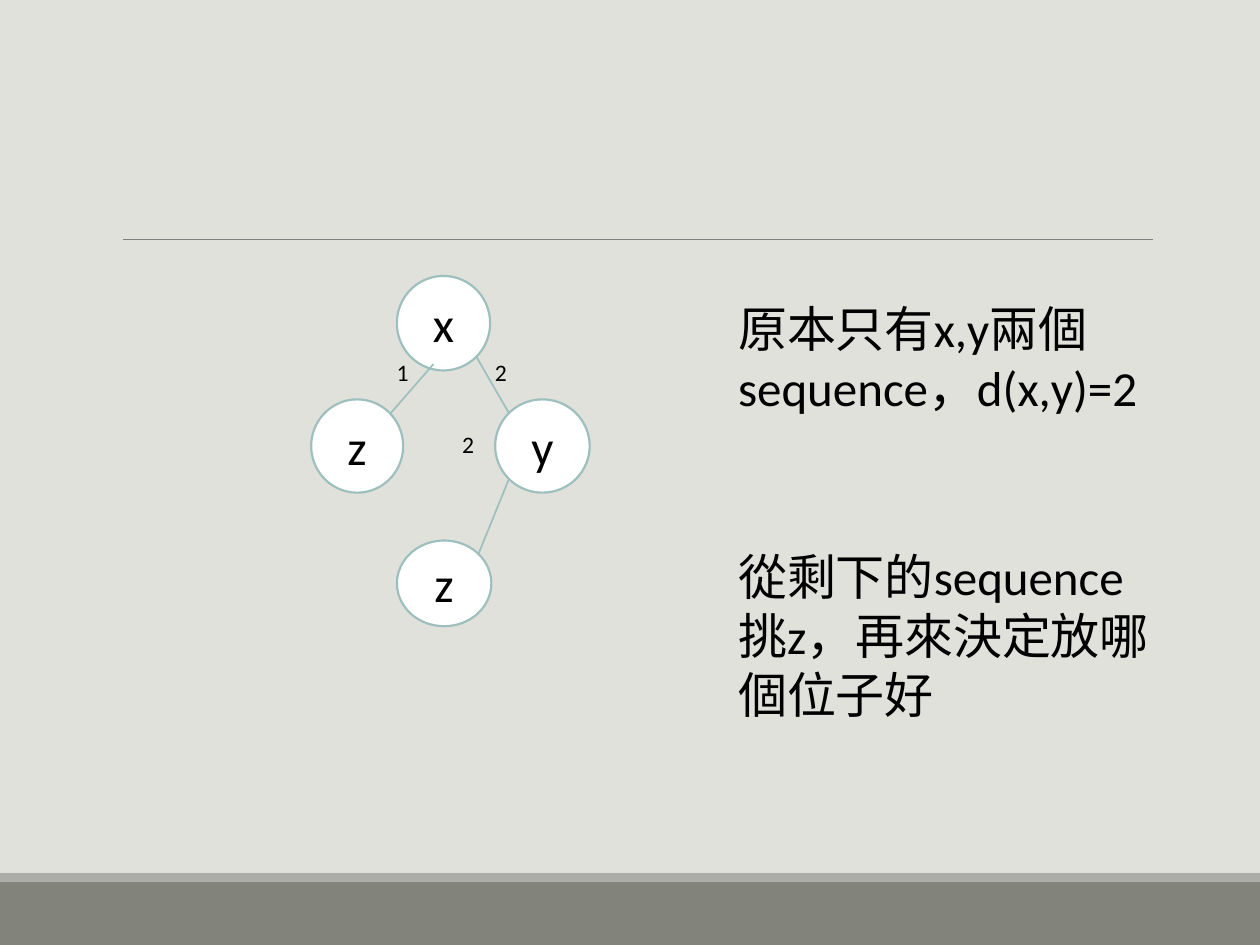
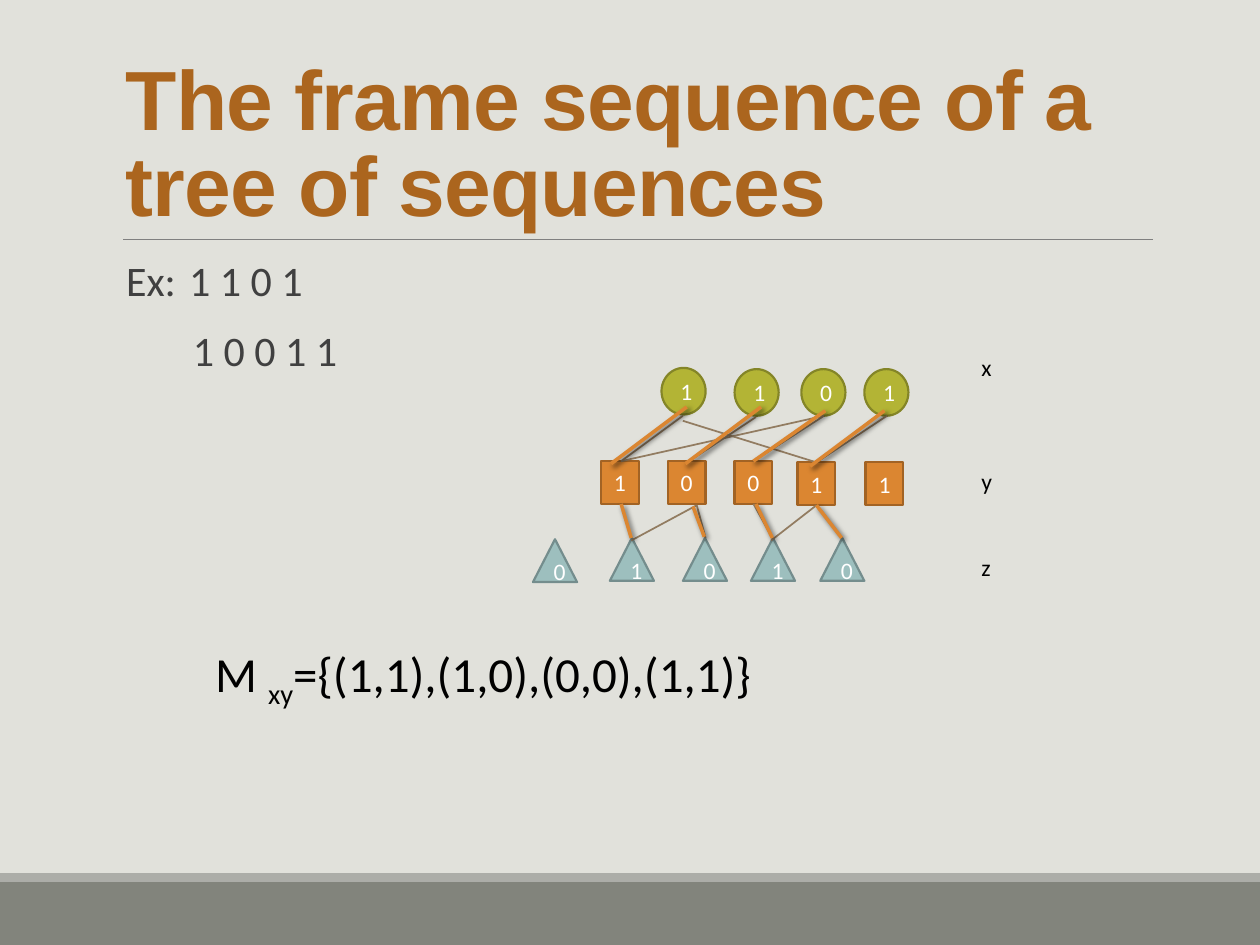
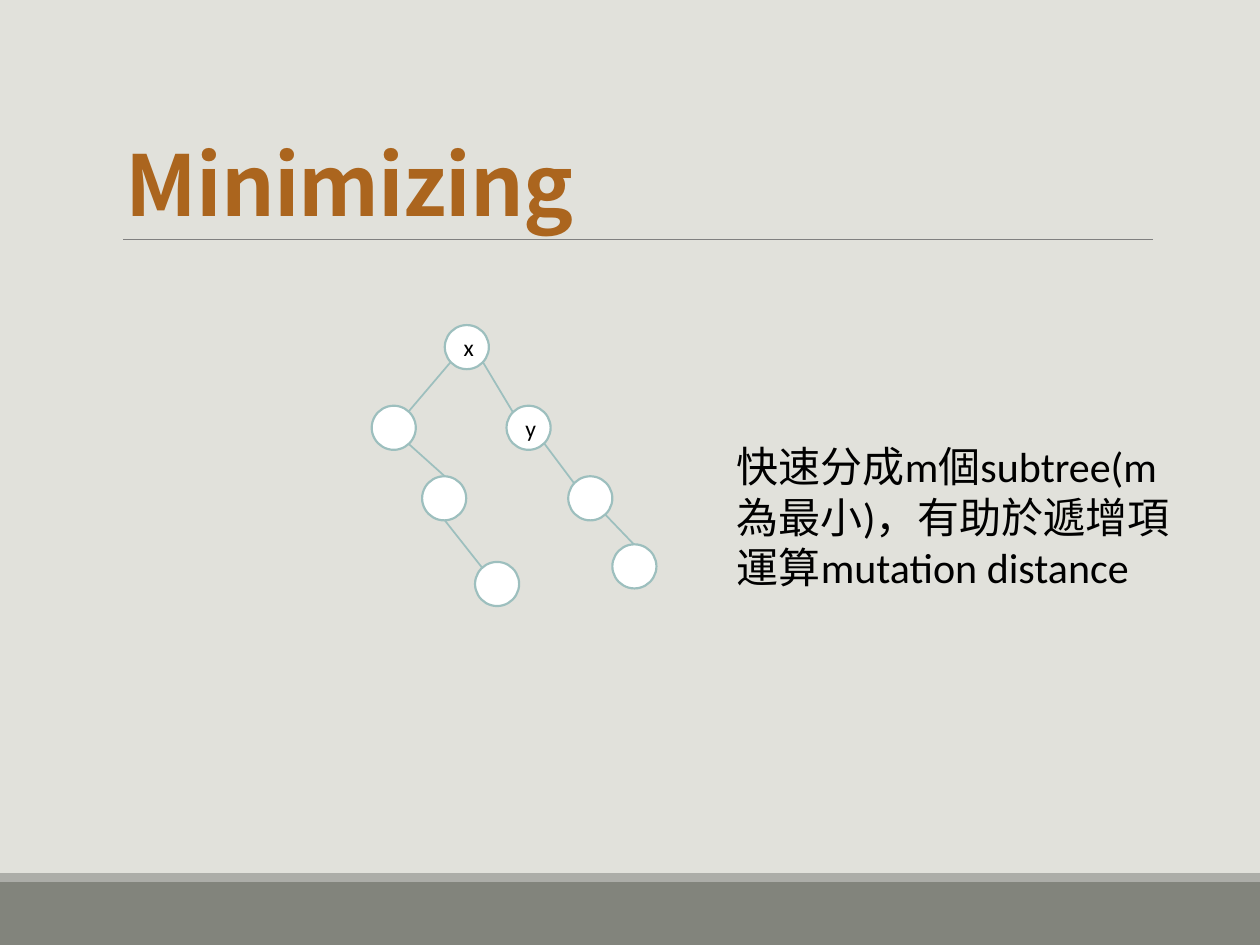
from dataclasses import dataclass

from lxml import etree
from pptx import Presentation
from pptx.dml.color import RGBColor
from pptx.enum.shapes import MSO_CONNECTOR, MSO_SHAPE
from pptx.enum.text import MSO_ANCHOR, PP_ALIGN
from pptx.oxml.ns import qn
from pptx.util import Pt

# Scale: 100 px to the inch
PX = 9144

# Enum members
RECT, OVAL = MSO_SHAPE.RECTANGLE, MSO_SHAPE.OVAL
DISC = MSO_SHAPE.FLOWCHART_CONNECTOR
SQUARE = MSO_SHAPE.FLOWCHART_PROCESS
TRIANGLE = MSO_SHAPE.FLOWCHART_EXTRACT
STRAIGHT = MSO_CONNECTOR.STRAIGHT
TOP, MIDDLE, BOTTOM = MSO_ANCHOR.TOP, MSO_ANCHOR.MIDDLE, MSO_ANCHOR.BOTTOM
LEFT, CENTER = PP_ALIGN.LEFT, PP_ALIGN.CENTER

# Colours
PAPER = RGBColor(0xE1, 0xE1, 0xDB)
BAND = RGBColor(0x82, 0x84, 0x7C)
BAND_EDGE = RGBColor(0xAC, 0xAD, 0xA8)
RULE = RGBColor(0x80, 0x80, 0x80)
BROWN = RGBColor(0xAB, 0x65, 0x1E)
GREY = RGBColor(0x40, 0x40, 0x40)
BLACK = RGBColor(0, 0, 0)
WHITE = RGBColor(0xFF, 0xFF, 0xFF)
TEAL = RGBColor(0x9D, 0xBF, 0xBE)
TEAL_DARK = RGBColor(0x74, 0x8D, 0x8D)
ORANGE = RGBColor(0xDB, 0x86, 0x31)
ORANGE_DARK = RGBColor(0xA2, 0x63, 0x24)
OLIVE = RGBColor(0xB3, 0xB4, 0x35)
OLIVE_DARK = RGBColor(0x84, 0x85, 0x27)
TAN = RGBColor(0x92, 0x7C, 0x61)

BODY_FONT = "Calibri"
SMALL, MEDIUM, LARGE = 13.5, 24, 28


@dataclass(frozen=True)
class Box:
    x: int
    y: int
    w: int
    h: int

    def emu(self) -> tuple[int, ...]:
        return tuple(v * PX for v in (self.x, self.y, self.w, self.h))


@dataclass(frozen=True)
class Line:
    x1: int
    y1: int
    x2: int
    y2: int


@dataclass(frozen=True)
class Node:
    text: str
    box: Box


@dataclass(frozen=True)
class Row:
    """One sequence drawn as equal shapes."""
    kind: int
    fill: RGBColor
    edge: RGBColor
    w: int
    h: int
    digits: str
    places: tuple[tuple[int, int], ...]


def add_run(p, text: str, *, size: float, color: RGBColor = BLACK,
            font: str = BODY_FONT, bold: bool = False, spacing: int = 0,
            baseline: int = 0) -> None:
    r = p.add_run()
    r.text = text
    r.font.size, r.font.name, r.font.bold = Pt(size), font, bold
    r.font.color.rgb = color
    if spacing:
        r.font._element.set("spc", str(spacing))
    if baseline:
        r.font._element.set("baseline", str(baseline))


def add_text(s, box: Box, text: str = "", *, anchor=TOP,
             line_spacing: float | None = None, **run_format):
    sp = s.shapes.add_textbox(*box.emu())
    tf = sp.text_frame
    tf.word_wrap, tf.vertical_anchor = True, anchor
    p = tf.paragraphs[0]
    p.alignment, p.line_spacing = LEFT, line_spacing
    if text:
        add_run(p, text, **run_format)
    return tf


def add_shape(s, kind: int, box: Box, fill: RGBColor,
              edge: RGBColor | None = None, text: str = "",
              **run_format) -> None:
    sp = s.shapes.add_shape(kind, *box.emu())
    sp.shadow.inherit = False
    sp.fill.solid()
    sp.fill.fore_color.rgb = fill
    if edge is None:
        sp.line.fill.background()
    else:
        sp.line.color.rgb, sp.line.width = edge, Pt(1.25)
    if text:
        tf = sp.text_frame
        tf.word_wrap, tf.vertical_anchor = True, MIDDLE
        p = tf.paragraphs[0]
        p.alignment = CENTER
        add_run(p, text, **run_format)


def add_line(s, line: Line, color: RGBColor, width: float = 1,
             shadow: bool = False) -> None:
    ends = (v * PX for v in (line.x1, line.y1, line.x2, line.y2))
    cxn = s.shapes.add_connector(STRAIGHT, *ends)
    cxn.line.color.rgb, cxn.line.width = color, Pt(width)
    effects = etree.SubElement(cxn._element.spPr, qn("a:effectLst"))
    if shadow:
        outer = etree.SubElement(effects, qn("a:outerShdw"), blurRad=str(Pt(3)),
                                 dist=str(Pt(2)), dir="2700000", rotWithShape="0")
        black = etree.SubElement(outer, qn("a:srgbClr"), val="000000")
        etree.SubElement(black, qn("a:alpha"), val="60000")


def add_tree(s, nodes: tuple[Node, ...], edges: tuple[Line, ...],
             size: float) -> None:
    for node in nodes:
        add_shape(s, OVAL, node.box, WHITE, TEAL, node.text, size=size)
    for edge in edges:
        add_line(s, edge, TEAL)


def add_slide(prs, title: str = "", title_font: str = "Arial"):
    """Blank slide with the footer bands, the rule and an optional title."""
    s = prs.slides.add_slide(prs.slide_layouts[6])
    add_shape(s, RECT, Box(0, 700, 1000, 50), BAND)
    add_shape(s, RECT, Box(0, 693, 1000, 7), BAND_EDGE)
    add_line(s, Line(98, 190, 915, 190), RULE, 0.5)
    if title:
        add_text(s, Box(90, 31, 825, 159), title, anchor=BOTTOM,
                 line_spacing=0.85, size=48, font=title_font, color=BROWN,
                 bold=True, spacing=-50)
    return s


# Slide 1: where to attach z
PLACING_NODES = (
    Node("x", Box(315, 219, 74, 75)),
    Node("z", Box(247, 317, 73, 74)),
    Node("y", Box(393, 317, 75, 74)),
    Node("z", Box(315, 429, 75, 68)),
)
PLACING_EDGES = (
    Line(378, 283, 404, 328),
    Line(344, 289, 310, 328),
    Line(404, 380, 380, 439),
)
DISTANCES = (
    Node("2", Box(383, 279, 41, 33)),
    Node("2", Box(357, 336, 26, 33)),
    Node("1", Box(305, 279, 41, 33)),
)
PLACING_NOTES = (
    Node("原本只有x,y兩個sequence，d(x,y)=2", Box(576, 232, 357, 104)),
    Node("從剩下的sequence挑z，再來決定放哪個位子好", Box(576, 429, 357, 151)),
)


def placing_slide(prs) -> None:
    s = add_slide(prs)
    add_tree(s, PLACING_NODES, PLACING_EDGES, LARGE)
    for label in DISTANCES:
        add_text(s, label.box, label.text, size=SMALL)
    for note in PLACING_NOTES:
        add_text(s, note.box, note.text, size=LARGE)


# Slide 2: matching the sequences x, y and z
ROWS = (
    Row(DISC, OLIVE, OLIVE_DARK, 35, 37, "1101",
        ((525, 292), (583, 293), (636, 293), (686, 293))),
    Row(SQUARE, ORANGE, ORANGE_DARK, 30, 34, "10011",
        ((477, 366), (530, 366), (583, 366), (633, 367), (687, 367))),
    Row(TRIANGLE, TEAL, TEAL_DARK, 35, 34, "01010",
        ((423, 428), (484, 427), (542, 427), (596, 427), (651, 427))),
)
CANDIDATES = (
    Line(600, 331, 547, 366), Line(654, 330, 598, 366),
    Line(704, 330, 648, 367), Line(542, 330, 493, 366),
    Line(542, 334, 648, 367), Line(654, 330, 493, 366),
    Line(493, 400, 501, 427), Line(553, 401, 501, 429),
    Line(598, 400, 613, 427), Line(648, 401, 612, 429),
    Line(553, 401, 560, 427), Line(650, 403, 668, 427),
)
MATCHES = (
    Line(545, 323, 485, 368), Line(604, 323, 544, 368),
    Line(655, 326, 598, 366), Line(702, 326, 643, 370),
    Line(493, 400, 501, 427), Line(550, 402, 559, 426),
    Line(600, 400, 613, 427), Line(648, 401, 668, 427),
)
# Row label and the space before it in points
ROW_LABELS = (("x", 0), ("y", 49), ("z", 33))
# Example text, hanging margin and first-line indent in px
EXAMPLES = (("Ex:\t1 1 0 1", 10, 0), ("1 0 0 1 1", 63, 0))
EXAMPLE_TAB = 66


def add_examples(s) -> None:
    tf = add_text(s, Box(90, 202, 825, 440))
    tf.margin_left = tf.margin_right = 0
    for i, (text, margin, indent) in enumerate(EXAMPLES):
        p = tf.add_paragraph() if i else tf.paragraphs[0]
        p.line_spacing, p.space_after = 0.9, Pt(2)
        if i:
            p.space_before = Pt(12)
        pPr = p._p.get_or_add_pPr()
        pPr.set("marL", str(margin * PX))
        pPr.set("indent", str(indent * PX))
        if "\t" in text:
            tabs = etree.SubElement(pPr, qn("a:tabLst"))
            etree.SubElement(tabs, qn("a:tab"), pos=str(EXAMPLE_TAB * PX), algn="l")
        add_run(p, text, size=MEDIUM, color=GREY)


def matching_slide(prs) -> None:
    s = add_slide(prs, "The frame sequence of a tree of sequences")
    add_examples(s)
    for row in ROWS:
        for digit, (x, y) in zip(row.digits, row.places):
            add_shape(s, row.kind, Box(x, y, row.w, row.h), row.fill, row.edge,
                      digit, size=SMALL, color=WHITE)
    for line in CANDIDATES:
        add_line(s, line, TAN)
    for line in MATCHES:
        add_line(s, line, ORANGE, 2, shadow=True)

    tf = add_text(s, Box(769, 275, 42, 192))
    for i, (label, gap) in enumerate(ROW_LABELS):
        p = tf.add_paragraph() if i else tf.paragraphs[0]
        if gap:
            p.space_before = Pt(gap)
        add_run(p, label, size=SMALL)

    p = add_text(s, Box(161, 506, 507, 57)).paragraphs[0]
    add_run(p, "M ", size=LARGE)
    add_run(p, "xy", size=LARGE, baseline=-25000)
    add_run(p, "={(1,1),(1,0),(0,0),(1,1)}", size=LARGE)


# Slide 3: splitting into subtrees
DOT = 35
SUBTREE_NODES = tuple(Node(text, Box(x, y, DOT, DOT)) for text, x, y in (
    ("x", 353, 258), ("", 295, 322), ("y", 402, 322), ("", 451, 378),
    ("", 377, 446), ("", 486, 432), ("", 335, 378),
))
SUBTREE_EDGES = (
    Line(383, 287, 407, 327), Line(358, 287, 324, 327),
    Line(324, 352, 353, 378), Line(432, 352, 456, 384),
    Line(353, 413, 383, 451), Line(480, 408, 503, 432),
)


def minimizing_slide(prs) -> None:
    s = add_slide(prs, "Minimizing", "Noto Sans CJK SC")
    add_tree(s, SUBTREE_NODES, SUBTREE_EDGES, SMALL)
    add_text(s, Box(575, 345, 386, 131),
             "快速分成m個subtree(m為最小)，有助於遞增項運算mutation distance",
             size=MEDIUM)


def main() -> None:
    prs = Presentation()
    prs.slide_width, prs.slide_height = 1000 * PX, 750 * PX
    fill = prs.slide_master.background.fill
    fill.solid()
    fill.fore_color.rgb = PAPER
    placing_slide(prs)
    matching_slide(prs)
    minimizing_slide(prs)
    prs.save("out.pptx")


if __name__ == "__main__":
    main()
